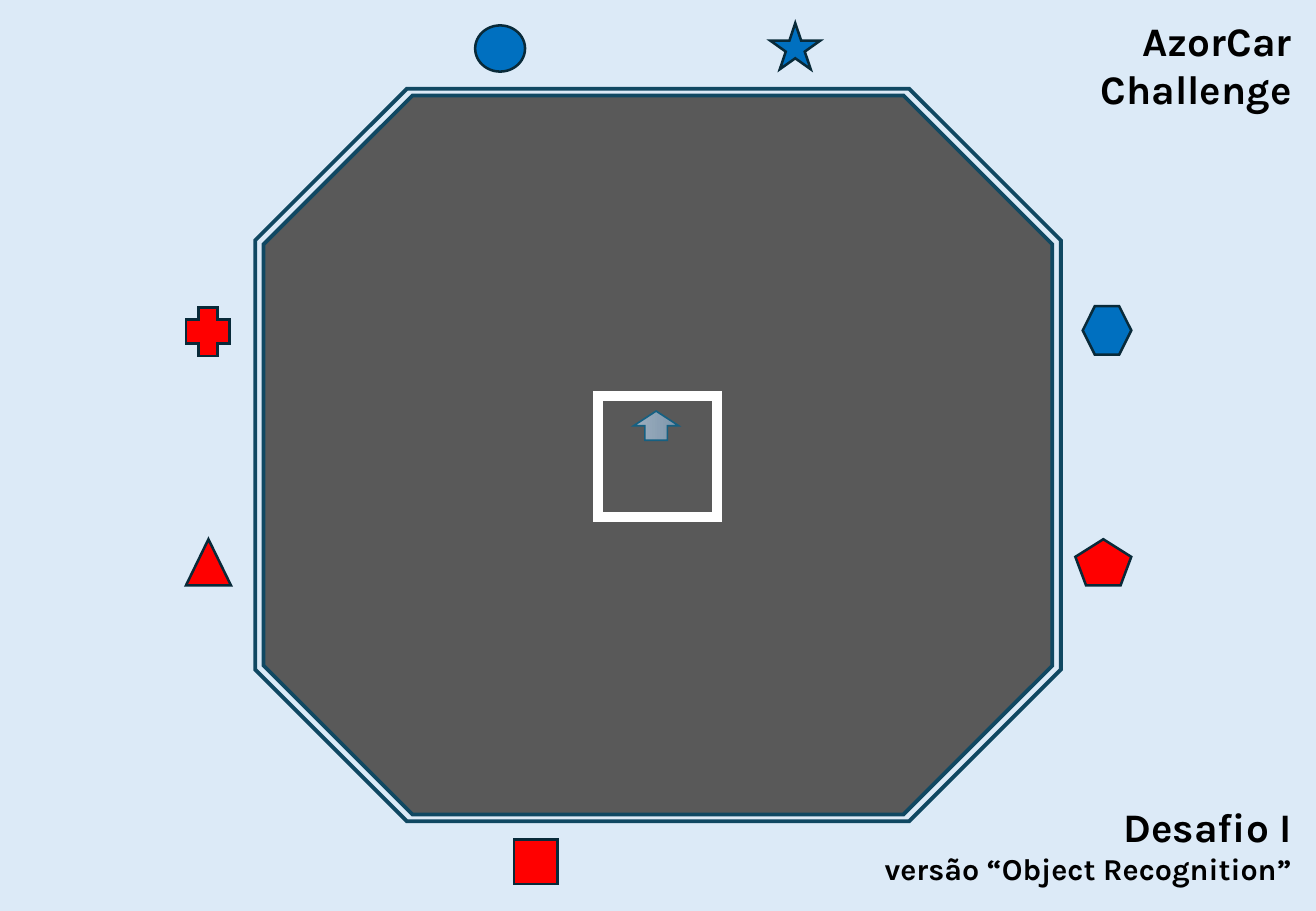
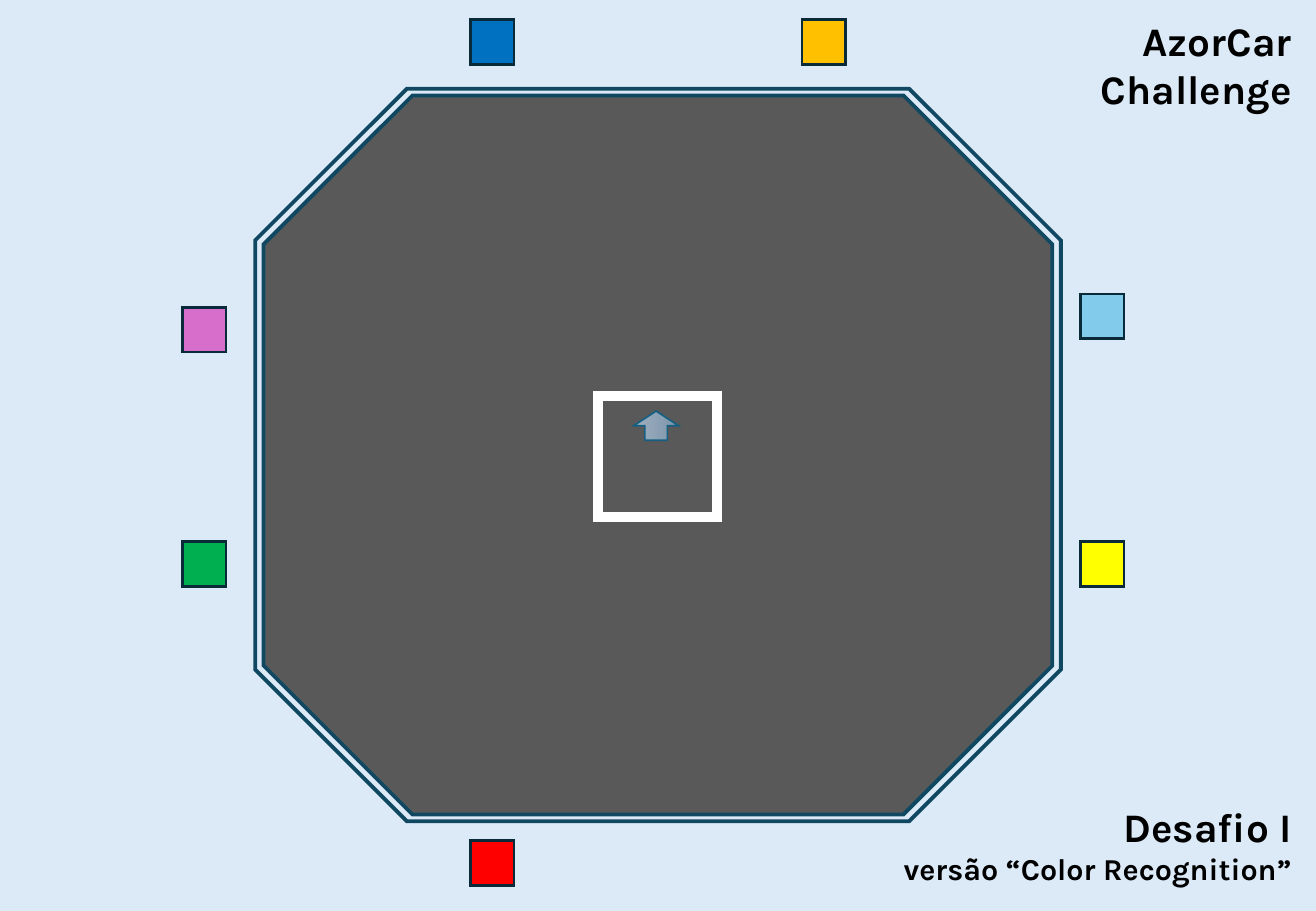
from dataclasses import dataclass
from typing import Any

from lxml import etree
from pptx import Presentation
from pptx.dml.color import RGBColor
from pptx.enum.shapes import MSO_SHAPE
from pptx.enum.text import MSO_ANCHOR, MSO_AUTO_SIZE, PP_ALIGN
from pptx.oxml.ns import qn
from pptx.util import Inches, Pt

SLIDE_W, SLIDE_H = Inches(10.83), Inches(7.5)
RECT, OCTAGON, ARROW = MSO_SHAPE.RECTANGLE, MSO_SHAPE.OCTAGON, MSO_SHAPE.RIGHT_ARROW
CIRCLE, STAR, CROSS = MSO_SHAPE.OVAL, MSO_SHAPE.STAR_5_POINT, MSO_SHAPE.CROSS
TRIANGLE, PENTAGON = MSO_SHAPE.ISOSCELES_TRIANGLE, MSO_SHAPE.REGULAR_PENTAGON
HEXAGON = MSO_SHAPE.HEXAGON
TOP, RIGHT, GROW = MSO_ANCHOR.TOP, PP_ALIGN.RIGHT, MSO_AUTO_SIZE.SHAPE_TO_FIT_TEXT


@dataclass(frozen=True)
class Theme:
    """Colours, type and line widths shared by the slides."""

    font: str = "Karla"
    title_size: int = 24
    version_size: int = 18
    text: str = "000000"
    background: str = "DCEAF7"
    floor: str = "595959"
    wall: str = "104862"
    start: str = "FFFFFF"
    outline: str = "092A39"
    arrow_line: str = "156082"
    arrow_fill: tuple[str, str] = ("9EAFBF", "7C95AB")
    wall_width: float = 2.25
    start_width: float = 6
    outline_width: float = 1.5
    arrow_width: float = 1
    red: str = "FF0000"
    blue: str = "0070C0"


@dataclass(frozen=True)
class Box:
    """Centre and size in percent of the slide's width and height."""

    x: float
    y: float
    w: float
    h: float

    def frame(self) -> tuple[int, int, int, int]:
        """Return left, top, width and height in slide units."""
        return (
            round(SLIDE_W * (self.x - self.w / 2) / 100),
            round(SLIDE_H * (self.y - self.h / 2) / 100),
            round(SLIDE_W * self.w / 100),
            round(SLIDE_H * self.h / 100),
        )


@dataclass(frozen=True)
class Marker:
    """A sign standing around the arena."""

    x: float
    y: float
    colour: str
    kind: Any = RECT
    w: float = 3.32
    h: float = 4.93
    adjust: float | None = None


@dataclass(frozen=True)
class Challenge:
    """One version of the challenge with its markers."""

    version: str
    markers: tuple[Marker, ...]


THEME = Theme()
TITLE = Box(90.07, 7.13, 18.01, 12.13)
CAPTION = Box(77.42, 92.73, 43.31, 10.8)
FLOOR = Box(50, 49.95, 59.93, 78.93)
WALL = Box(50, 49.95, 61.22, 80.4)
START = Box(49.95, 50.13, 9.05, 13.33)
HEADING = Box(49.86, 46.73, 2.22, 4.93)
CORNER = 0.207

LEFT_X, RIGHT_X = 15.51, 83.75
FIRST_X, LAST_X = 37.4, 62.6
TOP_Y, LOW_Y, BOTTOM_Y = 4.6, 61.93, 94.73

CHALLENGES = (
    Challenge("versão “Object Recognition”", (
        Marker(38, 5.33, THEME.blue, CIRCLE, 3.79, 5.07),
        Marker(60.43, 5.07, THEME.blue, STAR, 3.79, 5.07),
        Marker(84.12, 36.27, THEME.blue, HEXAGON, 3.69, 5.33),
        Marker(83.84, 61.73, THEME.red, PENTAGON, 4.25, 5.07),
        Marker(40.72, 94.6, THEME.red),
        Marker(15.84, 61.73, THEME.red, TRIANGLE, 3.42, 5.07),
        Marker(15.79, 36.4, THEME.red, CROSS, 3.32, 5.33, 0.282),
    )),
    Challenge("versão “Color Recognition”", (
        Marker(FIRST_X, TOP_Y, THEME.blue),
        Marker(LAST_X, TOP_Y, "FFC000"),
        Marker(RIGHT_X, 34.73, "83CBEB"),
        Marker(RIGHT_X, LOW_Y, "FFFF00"),
        Marker(FIRST_X, BOTTOM_Y, THEME.red),
        Marker(LEFT_X, LOW_Y, "00B050"),
        Marker(LEFT_X, 36.2, "D86ECC"),
    )),
)


def rgb(colour: str) -> RGBColor:
    """Turn a hex string into a colour."""
    return RGBColor.from_string(colour)


def add_outline(shapes: Any, kind: Any, box: Box, line: str, width: float,
                fill: str | None = None, adjust: float | None = None) -> Any:
    """Draw a flat shape with a mitred outline."""
    sp = shapes.add_shape(kind, *box.frame())
    sp.shadow.inherit = False
    if adjust is not None:
        sp.adjustments[0] = adjust
    if fill is None:
        sp.fill.background()
    else:
        sp.fill.solid()
        sp.fill.fore_color.rgb = rgb(fill)
    sp.line.color.rgb = rgb(line)
    sp.line.width = Pt(width)
    etree.SubElement(sp._element.spPr.find(qn("a:ln")), qn("a:miter"), lim="800000")
    return sp


def set_text(sp: Any, box: Box, lines: dict[str, int]) -> None:
    """Place a placeholder and fill it with right-aligned lines of given sizes."""
    sp.left, sp.top, sp.width, sp.height = box.frame()
    tf = sp.text_frame
    tf.text = "\n".join(lines)
    tf.word_wrap, tf.auto_size, tf.vertical_anchor = True, GROW, TOP
    for p, size in zip(tf.paragraphs, lines.values()):
        p.alignment, p.space_before = RIGHT, Pt(0)
        p.font.name, p.font.size, p.font.bold = THEME.font, Pt(size), True
        p.font.color.rgb = rgb(THEME.text)


def add_arena(shapes: Any) -> None:
    """Draw the walled floor, the start square and the heading arrow."""
    arena = shapes.add_group_shape().shapes
    for box, fill in ((FLOOR, THEME.floor), (WALL, None)):
        add_outline(arena, OCTAGON, box, THEME.wall, THEME.wall_width, fill, CORNER)
    add_outline(shapes, RECT, START, THEME.start, THEME.start_width)
    arrow = add_outline(shapes, ARROW, HEADING, THEME.arrow_line, THEME.arrow_width)
    arrow.rotation = 270
    arrow.fill.gradient()
    arrow.fill.gradient_angle = 270
    for stop, colour in zip(arrow.fill.gradient_stops, THEME.arrow_fill):
        stop.color.rgb = rgb(colour)


def add_challenge(prs: Any, challenge: Challenge) -> None:
    """Add the slide of one challenge."""
    s = prs.slides.add_slide(prs.slide_layouts[0])
    set_text(s.shapes.title, TITLE, {"AzorCar Challenge": THEME.title_size})
    set_text(s.placeholders[1], CAPTION,
             {"Desafio I": THEME.title_size, challenge.version: THEME.version_size})
    add_arena(s.shapes)
    for m in challenge.markers:
        add_outline(s.shapes, m.kind, Box(m.x, m.y, m.w, m.h), THEME.outline,
                    THEME.outline_width, m.colour, m.adjust)


def main() -> None:
    """Build and save the presentation."""
    prs = Presentation()
    prs.slide_width, prs.slide_height = SLIDE_W, SLIDE_H
    fill = prs.slide_master.background.fill
    fill.solid()
    fill.fore_color.rgb = rgb(THEME.background)
    for challenge in CHALLENGES:
        add_challenge(prs, challenge)
    prs.save("out.pptx")


if __name__ == "__main__":
    main()
